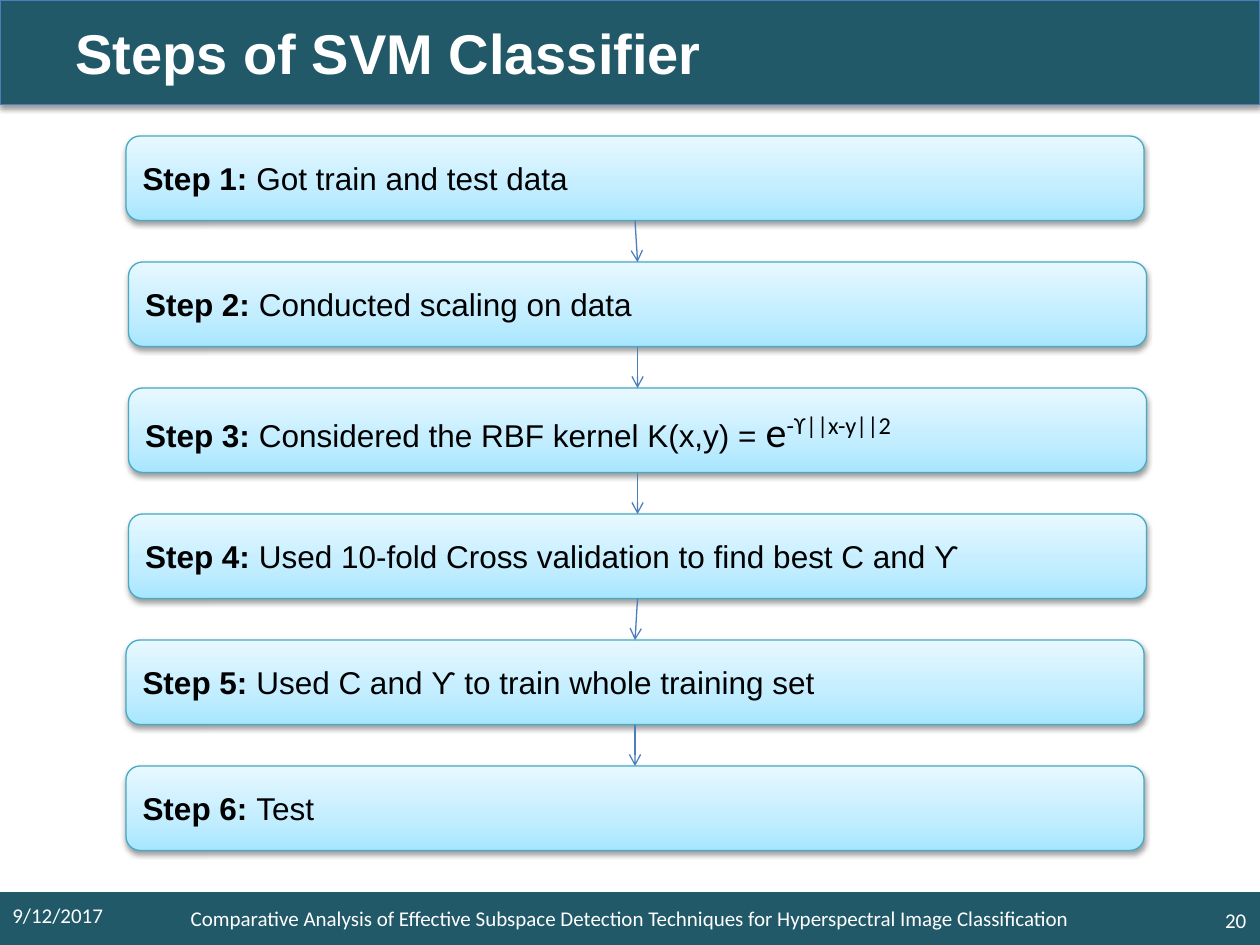
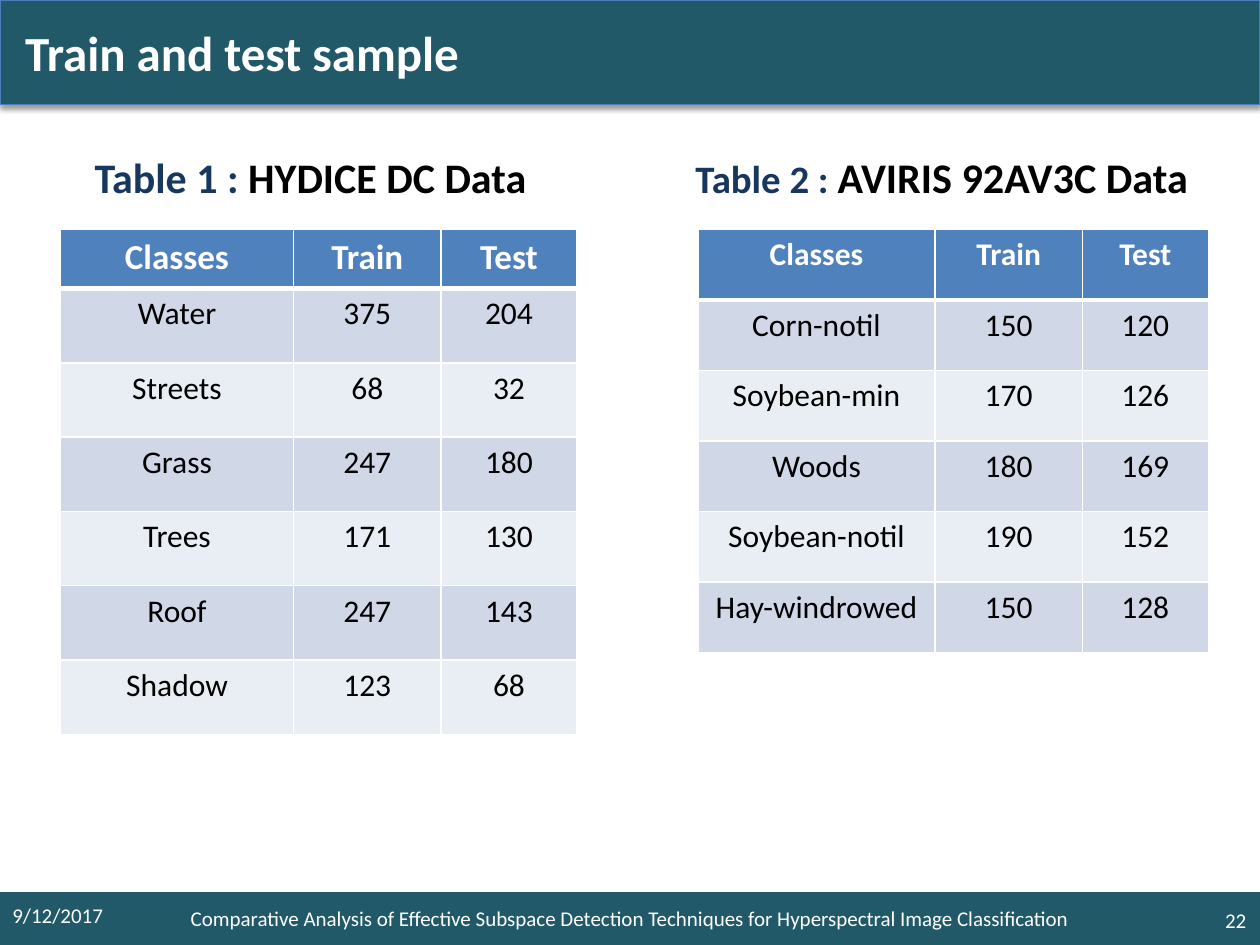
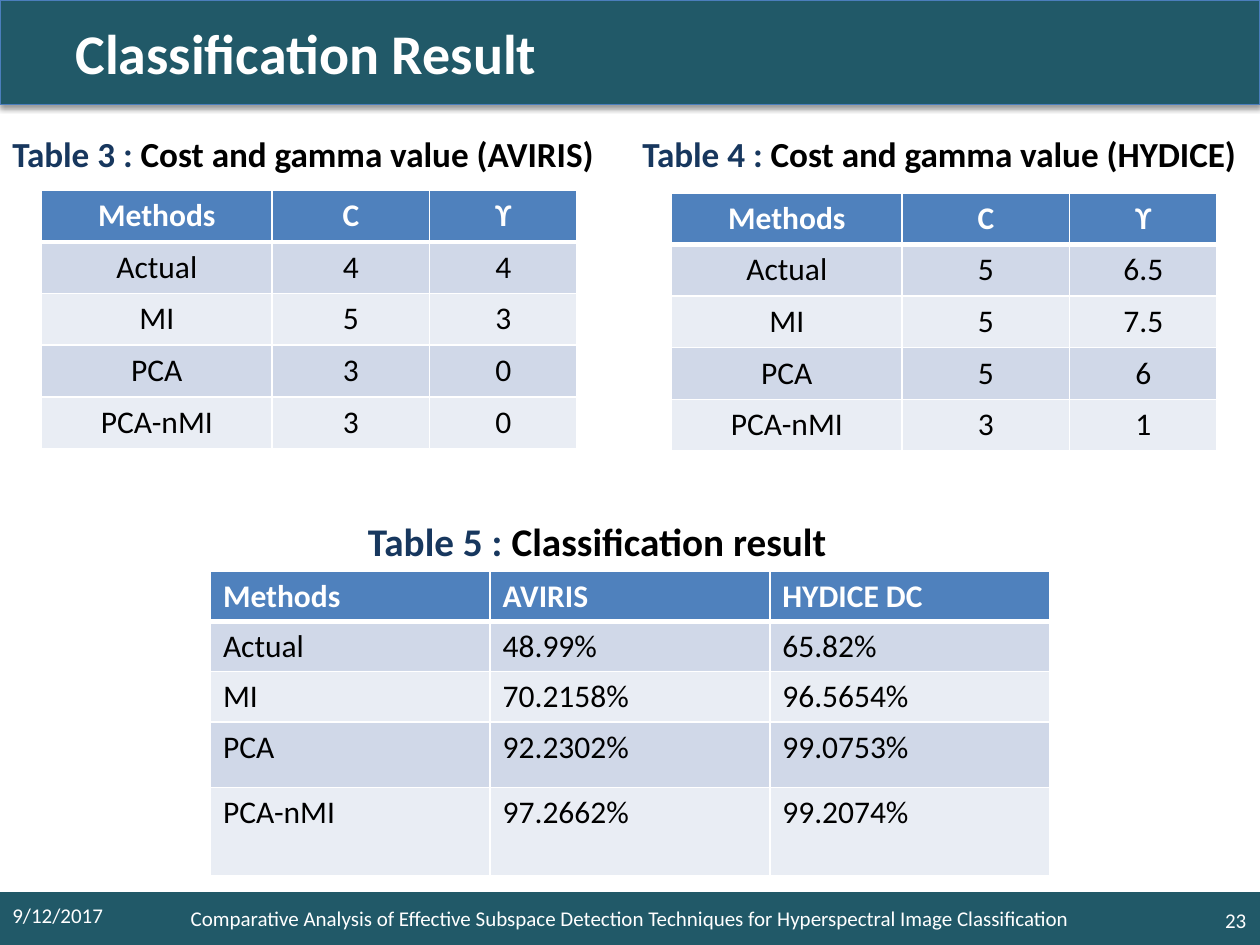
from copy import deepcopy
from dataclasses import dataclass
from itertools import pairwise

from lxml import etree
from pptx import Presentation
from pptx.dml.color import RGBColor
from pptx.enum.shapes import MSO_CONNECTOR, MSO_SHAPE
from pptx.enum.text import MSO_ANCHOR, PP_ALIGN
from pptx.oxml.ns import qn
from pptx.util import Inches, Pt

LEFT, CENTER, RIGHT = PP_ALIGN.LEFT, PP_ALIGN.CENTER, PP_ALIGN.RIGHT
TOP, MIDDLE = MSO_ANCHOR.TOP, MSO_ANCHOR.MIDDLE
RECTANGLE, ROUNDED = MSO_SHAPE.RECTANGLE, MSO_SHAPE.ROUNDED_RECTANGLE
STRAIGHT = MSO_CONNECTOR.STRAIGHT
BOTTOM_SITE, TOP_SITE = 2, 0


@dataclass(frozen=True)
class Theme:
    band: str = "215968"
    accent_line: str = "4B7EBC"
    step_line: str = "46AAC5"
    step_stops: tuple = ("A7E6FF", "C1EDFF", "E7F8FF")
    caption: str = "17375E"
    table_header: str = "4F81BD"
    table_bands: tuple = ("D0D8E8", "E9EDF4")
    light: str = "FFFFFF"
    dark: str = "000000"
    body_font: str = "Calibri"
    step_font: str = "Arial"
    title_size: float = 32
    formula_size: float = 24
    body_size: float = 18
    footer_size: float = 12
    line_width: float = 0.75


THEME = Theme()
FOOTER = ("Comparative Analysis of Effective Subspace Detection Techniques "
          "for Hyperspectral Image Classification")
DATE = "9/12/2017"


def rgb(color):
    return RGBColor.from_string(color)


def add_run(paragraph, text, size, color=THEME.dark, bold=False, font=THEME.body_font):
    run = paragraph.add_run()
    run.text = text
    run.font.name = font
    run.font.size = Pt(size)
    run.font.bold = bold
    run.font.color.rgb = rgb(color)
    return run


def prepare_text(shape, anchor=MIDDLE, alignment=LEFT, left_margin=0.1):
    """Set up the frame of a shape and return its first paragraph."""
    frame = shape.text_frame
    frame.word_wrap = True
    frame.vertical_anchor = anchor
    frame.margin_left = Inches(left_margin)
    paragraph = frame.paragraphs[0]
    paragraph.alignment = alignment
    return paragraph


def add_block(slide, kind, box, line=None):
    shape = slide.shapes.add_shape(kind, *map(Inches, box))
    shape.shadow.inherit = False
    if line:
        shape.line.color.rgb = rgb(line)
        shape.line.width = Pt(THEME.line_width)
    else:
        shape.line.fill.background()
    return shape


def add_drop_shadow(shape):
    effects = shape._element.spPr.find(qn("a:effectLst"))
    shadow = etree.SubElement(effects, qn("a:outerShdw"), blurRad=str(Pt(3.1)),
                              dist=str(Pt(1.6)), dir="5400000", rotWithShape="0")
    color = etree.SubElement(shadow, qn("a:srgbClr"), val=THEME.dark)
    etree.SubElement(color, qn("a:alpha"), val="38000")


def fill_step(shape):
    """Blend three colours from the bottom of the step to its top."""
    shape.fill.gradient()
    shape.fill.gradient_angle = 90
    stop_list = next(shape._element.spPr.iter(qn("a:gsLst")))
    middle = deepcopy(stop_list[0])
    middle.set("pos", "35000")
    stop_list.insert(1, middle)
    for stop, color in zip(shape.fill.gradient_stops, THEME.step_stops):
        stop.color.rgb = rgb(color)


def add_title(slide, text, left_margin, size=THEME.title_size, font=THEME.body_font):
    band = add_block(slide, RECTANGLE, (0, 0, 10, 0.83), THEME.accent_line)
    band.fill.solid()
    band.fill.fore_color.rgb = rgb(THEME.band)
    add_drop_shadow(band)
    add_run(prepare_text(band, left_margin=left_margin), text, size, THEME.light, True, font)


def add_footer(slide, number):
    band = add_block(slide, RECTANGLE, (0, 7.08, 10, 0.42))
    band.fill.solid()
    band.fill.fore_color.rgb = rgb(THEME.band)
    date = slide.shapes.add_textbox(*map(Inches, (0, 7.06, 1.17, 0.4)))
    page = slide.shapes.add_textbox(*map(Inches, (9.57, 7.1, 0.42, 0.4)))
    for shape, text, alignment in ((band, FOOTER, CENTER), (date, DATE, LEFT),
                                   (page, str(number), RIGHT)):
        add_run(prepare_text(shape, alignment=alignment), text, THEME.footer_size, THEME.light)


def add_step(slide, box, label, text, formula=None):
    step = add_block(slide, ROUNDED, box, THEME.step_line)
    fill_step(step)
    add_drop_shadow(step)
    paragraph = prepare_text(step)
    add_run(paragraph, label, THEME.body_size, bold=True, font=THEME.step_font)
    add_run(paragraph, text, THEME.body_size, font=THEME.step_font)
    if formula:
        base, exponent = formula
        add_run(paragraph, base, THEME.formula_size)
        raised = add_run(paragraph, exponent, THEME.formula_size)
        raised._r.get_or_add_rPr().set("baseline", "30000")
    return step


def join_steps(slide, upper, lower):
    arrow = slide.shapes.add_connector(STRAIGHT, 0, 0, 0, 0)
    arrow.begin_connect(upper, BOTTOM_SITE)
    arrow.end_connect(lower, TOP_SITE)
    arrow.line.color.rgb = rgb(THEME.accent_line)
    arrow.line.width = Pt(THEME.line_width)
    etree.SubElement(arrow.line._get_or_add_ln(), qn("a:tailEnd"), type="arrow")
    etree.SubElement(arrow._element.spPr, qn("a:effectLst"))


def add_caption(slide, box, label, text, size, label_size=None, left_margin=0.1):
    caption = slide.shapes.add_textbox(*map(Inches, box))
    paragraph = prepare_text(caption, TOP, left_margin=left_margin)
    caption.text_frame.margin_right = 0
    add_run(paragraph, label, label_size or size, THEME.caption, True)
    add_run(paragraph, text, size, bold=True)


def set_borders(cell, top, bottom):
    properties = cell._tc.get_or_add_tcPr()
    for side, width in (("L", 1), ("R", 1), ("T", top), ("B", bottom)):
        line = etree.SubElement(properties, qn(f"a:ln{side}"), w=str(Pt(width)))
        fill = etree.SubElement(line, qn("a:solidFill"))
        etree.SubElement(fill, qn("a:srgbClr"), val=THEME.light)


def add_data_table(slide, left, top, widths, heights, rows,
                   header_size=THEME.body_size, alignment=CENTER):
    frame = slide.shapes.add_table(len(rows), len(widths), Inches(left), Inches(top),
                                   Inches(sum(widths)), Inches(sum(heights)))
    table = frame.table
    for column, width in zip(table.columns, widths):
        column.width = Inches(width)
    for index, (row, height, values) in enumerate(zip(table.rows, heights, rows)):
        row.height = Inches(height)
        header = index == 0
        for cell, value in zip(row.cells, values):
            set_borders(cell, 3 if index == 1 else 1, 3 if header else 1)
            cell.fill.solid()
            cell.fill.fore_color.rgb = rgb(
                THEME.table_header if header else THEME.table_bands[(index - 1) % 2])
            paragraph = cell.text_frame.paragraphs[0]
            paragraph.alignment = alignment
            add_run(paragraph, value, header_size if header else THEME.body_size,
                    THEME.light if header else THEME.dark, header)


def build_steps_slide(slide):
    add_title(slide, "Steps of SVM Classifier", 0.6, font=THEME.step_font)
    add_footer(slide, 20)
    contents = [
        (1, "Got train and test data"),
        (1.02, "Conducted scaling on data"),
        (1.02, "Considered the RBF kernel K(x,y) = ", ("e", "-ϒ||x-y||2")),
        (1.02, "Used 10-fold Cross validation to find best C and ϒ"),
        (1, "Used C and ϒ to train whole training set"),
        (1, "Test"),
    ]
    steps = [add_step(slide, (left, 0.08 + number, 8.08, 0.67), f"Step {number}: ", *content)
             for number, (left, *content) in enumerate(contents, 1)]
    for upper, lower in pairwise(steps):
        join_steps(slide, upper, lower)


def build_samples_slide(slide):
    add_title(slide, "Train and test sample", 0.2, size=28)
    add_footer(slide, 22)
    header = ("Classes", "Train", "Test")
    add_caption(slide, (0.5, 1.15, 4.29, 0.67), "Table 1 : ", "HYDICE DC Data", 24,
                left_margin=0.25)
    add_data_table(slide, 0.48, 1.82, (1.85, 1.17, 1.08), [0.47] + [0.59] * 6, [
        header,
        ("Water", "375", "204"),
        ("Streets", "68", "32"),
        ("Grass", "247", "180"),
        ("Trees", "171", "130"),
        ("Roof", "247", "143"),
        ("Shadow", "123", "68"),
    ], header_size=20)
    add_caption(slide, (5, 1.15, 4.83, 0.77), "Table 2 : ", "AVIRIS 92AV3C Data", 24.1,
                label_size=22.2, left_margin=0.52)
    add_data_table(slide, 5.54, 1.82, (1.88, 1.17, 1), [0.56] * 6, [
        header,
        ("Corn-notil", "150", "120"),
        ("Soybean-min", "170", "126"),
        ("Woods", "180", "169"),
        ("Soybean-notil", "190", "152"),
        ("Hay-windrowed", "150", "128"),
    ])


def build_results_slide(slide):
    add_title(slide, "Classification Result", 0.6)
    add_footer(slide, 23)
    methods = ("Methods", "Actual", "MI", "PCA", "PCA-nMI")
    add_caption(slide, (0, 1, 5, 0.42), "Table 3 : ", "Cost and gamma value (AVIRIS)", 20.1)
    add_data_table(slide, 0.33, 1.51, (1.83, 1.25, 1.17), [0.41] * 5,
                   list(zip(methods, ("C", "4", "5", "3", "3"), ("ϒ", "4", "3", "0", "0"))))
    add_caption(slide, (5, 1, 5, 0.42), "Table 4 : ", "Cost and gamma value (HYDICE)", 20.1)
    add_data_table(slide, 5.33, 1.53, (1.83, 1.33, 1.17), [0.41] * 5,
                   list(zip(methods, ("C", "5", "5", "5", "3"), ("ϒ", "6.5", "7.5", "6", "1"))))
    add_caption(slide, (2.5, 4.06, 5.25, 0.42), "Table 5 : ", "Classification result", 22.4,
                left_margin=0.42)
    add_data_table(slide, 1.67, 4.53, [2.22] * 3, (0.4, 0.4, 0.4, 0.52, 0.7), list(zip(
        methods,
        ("AVIRIS", "48.99%", "70.2158%", "92.2302%", "97.2662%"),
        ("HYDICE DC", "65.82%", "96.5654%", "99.0753%", "99.2074%"),
    )), alignment=LEFT)


def main():
    presentation = Presentation()
    presentation.slide_width = Inches(10)
    presentation.slide_height = Inches(7.5)
    blank_layout = presentation.slide_layouts[6]
    for build in (build_steps_slide, build_samples_slide, build_results_slide):
        build(presentation.slides.add_slide(blank_layout))
    presentation.save("out.pptx")


if __name__ == "__main__":
    main()
